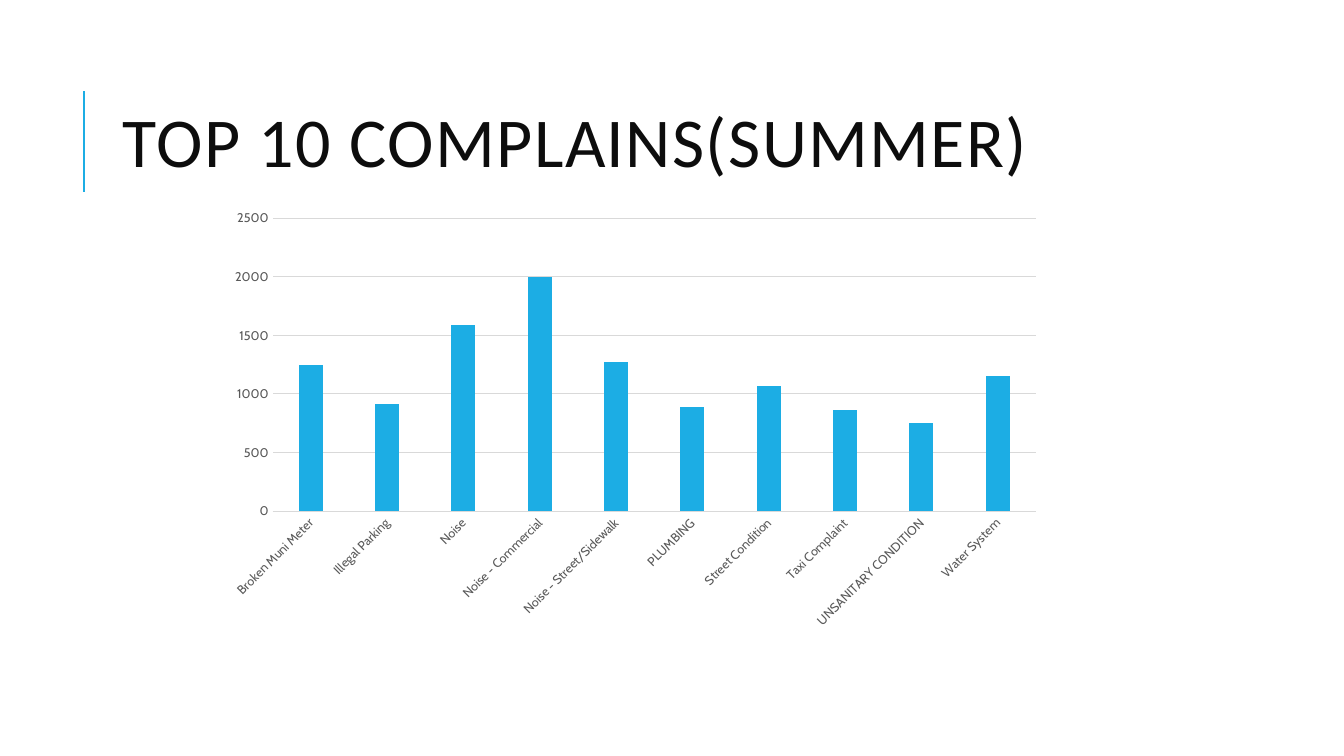
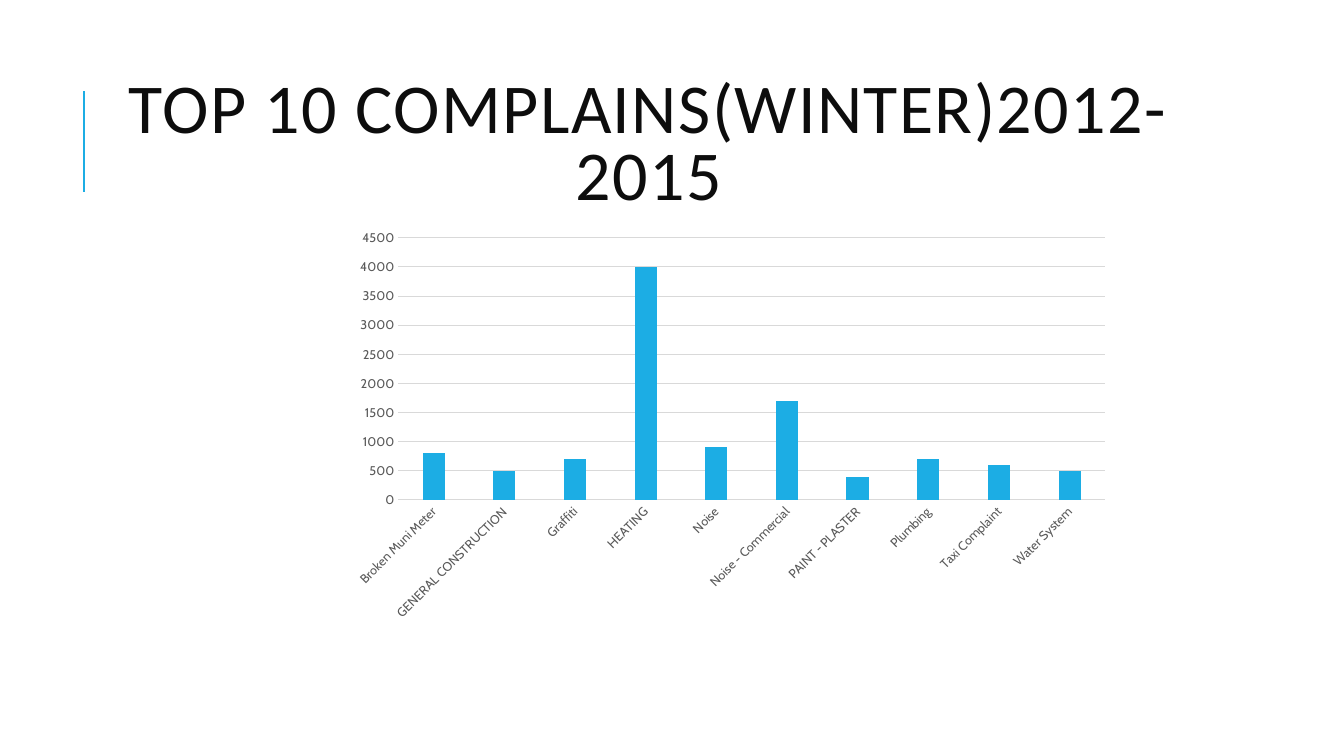
from lxml import etree
from pptx import Presentation
from pptx.chart.data import CategoryChartData
from pptx.dml.color import RGBColor
from pptx.enum.chart import XL_CHART_TYPE, XL_TICK_MARK
from pptx.enum.shapes import MSO_CONNECTOR
from pptx.enum.text import MSO_ANCHOR, PP_ALIGN
from pptx.oxml.ns import qn
from pptx.util import Pt

EMU_PER_PX = 9144
ACCENT = RGBColor(0x1C, 0xAD, 0xE4)
TITLE_COLOR = RGBColor(0x0D, 0x0D, 0x0D)
LABEL_COLOR = RGBColor(0x59, 0x59, 0x59)
GRID_COLOR = RGBColor(0xD9, 0xD9, 0xD9)
BLACK = RGBColor(0, 0, 0)
WHITE = RGBColor(0xFF, 0xFF, 0xFF)
TITLE_FONT = "Calibri"
CHART_FONT = "Cabin"
COLUMN_CLUSTERED = XL_CHART_TYPE.COLUMN_CLUSTERED
NO_TICK = XL_TICK_MARK.NONE
STRAIGHT = MSO_CONNECTOR.STRAIGHT
MIDDLE = MSO_ANCHOR.MIDDLE
LEFT, CENTER = PP_ALIGN.LEFT, PP_ALIGN.CENTER

SUMMER_BOX = (215, 200, 829, 432)
SUMMER_COMPLAINTS = {
    "Broken Muni Meter": 1250,
    "Illegal Parking": 910,
    "Noise": 1590,
    "Noise - Commercial": 2000,
    "Noise - Street/Sidewalk": 1270,
    "PLUMBING": 890,
    "Street Condition": 1070,
    "Taxi Complaint": 860,
    "UNSANITARY CONDITION": 750,
    "Water System": 1150,
}
WINTER_BOX = (318, 213, 811, 424)
WINTER_PLOT_BOX = (77, 23, 701, 260)
WINTER_COMPLAINTS = {
    "Broken Muni Meter": 800,
    "GENERAL CONSTRUCTION": 500,
    "Graffiti": 700,
    "HEATING": 4000,
    "Noise": 900,
    "Noise - Commercial": 1700,
    "PAINT - PLASTER": 400,
    "Plumbing": 700,
    "Taxi Complaint": 600,
    "Water System": 500,
}


def px(*lengths):
    """Turn px lengths into a list of EMU."""
    return [length * EMU_PER_PX for length in lengths]


def style_font(font, name, size, color):
    """Set typeface, point size and colour."""
    font.name = name
    font.size = Pt(size)
    font.color.rgb = color


def style_line(line, color, width):
    """Set line colour and point width."""
    line.color.rgb = color
    line.width = Pt(width)


def add_title_slide(presentation, title, align):
    """Add a slide with the shared accent line and title style."""
    slide = presentation.slides.add_slide(presentation.slide_layouts[6])
    background = slide.background.fill
    background.solid()
    background.fore_color.rgb = WHITE

    accent_line = slide.shapes.add_connector(STRAIGHT, *px(83, 190, 83, 90))
    style_line(accent_line.line, ACCENT, 1.5)
    etree.SubElement(accent_line._element.spPr, qn("a:effectLst"))

    frame = slide.shapes.add_textbox(*px(112, 64, 1063, 164)).text_frame
    frame.word_wrap = True
    frame.vertical_anchor = MIDDLE
    paragraph = frame.paragraphs[0]
    paragraph.alignment = align
    paragraph.line_spacing = 0.8
    run = paragraph.add_run()
    run.text = title
    style_font(run.font, TITLE_FONT, 50, TITLE_COLOR)
    run.font._element.set("spc", "100")
    return slide


def style_axis(axis):
    """Give an axis its label font and remove its tick marks."""
    axis.major_tick_mark = NO_TICK
    axis.minor_tick_mark = NO_TICK
    style_font(axis.tick_labels.font, CHART_FONT, 9, LABEL_COLOR)


def set_plot_area(chart, chart_box, plot_box):
    """Place the inner plot area, given in px from the chart's corner."""
    plot_area = chart._chartSpace.chart.plotArea
    for old_layout in plot_area.findall(qn("c:layout")):
        plot_area.remove(old_layout)
    layout = etree.Element(qn("c:layout"))
    plot_area.insert(0, layout)
    manual = etree.SubElement(layout, qn("c:manualLayout"))
    width, height = chart_box[2:]
    settings = {"layoutTarget": "inner", "xMode": "edge", "yMode": "edge"}
    for name, length, total in zip("xywh", plot_box, (width, height) * 2):
        settings[name] = length / total
    for name, value in settings.items():
        etree.SubElement(manual, qn(f"c:{name}")).set("val", str(value))


def add_column_chart(slide, box, complaints, maximum):
    """Add a column chart of complaint counts and return it."""
    data = CategoryChartData()
    data.categories = list(complaints)
    data.add_series("Series 1", list(complaints.values()))
    chart = slide.shapes.add_chart(COLUMN_CLUSTERED, *px(*box), data).chart
    chart.has_legend = False
    chart.has_title = False
    style_font(chart.font, CHART_FONT, 10, BLACK)

    plot = chart.plots[0]
    plot.vary_by_categories = False
    plot.gap_width = 219
    plot.overlap = -27
    fill = plot.series[0].format.fill
    fill.solid()
    fill.fore_color.rgb = ACCENT

    category_axis = chart.category_axis
    style_axis(category_axis)
    style_line(category_axis.format.line, GRID_COLOR, 0.75)
    label_body = category_axis._element.find(qn("c:txPr")).find(qn("a:bodyPr"))
    label_body.set("rot", "-2700000")

    value_axis = chart.value_axis
    style_axis(value_axis)
    value_axis.minimum_scale = 0
    value_axis.maximum_scale = maximum
    value_axis.major_unit = 500
    value_axis.format.line.fill.background()
    value_axis.has_major_gridlines = True
    style_line(value_axis.major_gridlines.format.line, GRID_COLOR, 0.75)
    return chart


def main():
    """Build and save the presentation."""
    presentation = Presentation()
    presentation.slide_width, presentation.slide_height = px(1333, 750)

    summer = add_title_slide(presentation, "TOP 10 COMPLAINS(SUMMER)", LEFT)
    add_column_chart(summer, SUMMER_BOX, SUMMER_COMPLAINTS, 2500)

    winter = add_title_slide(
        presentation, "TOP 10 COMPLAINS(WINTER)2012-2015", CENTER)
    winter_chart = add_column_chart(
        winter, WINTER_BOX, WINTER_COMPLAINTS, 4500)
    set_plot_area(winter_chart, WINTER_BOX, WINTER_PLOT_BOX)

    presentation.save("out.pptx")


if __name__ == "__main__":
    main()
